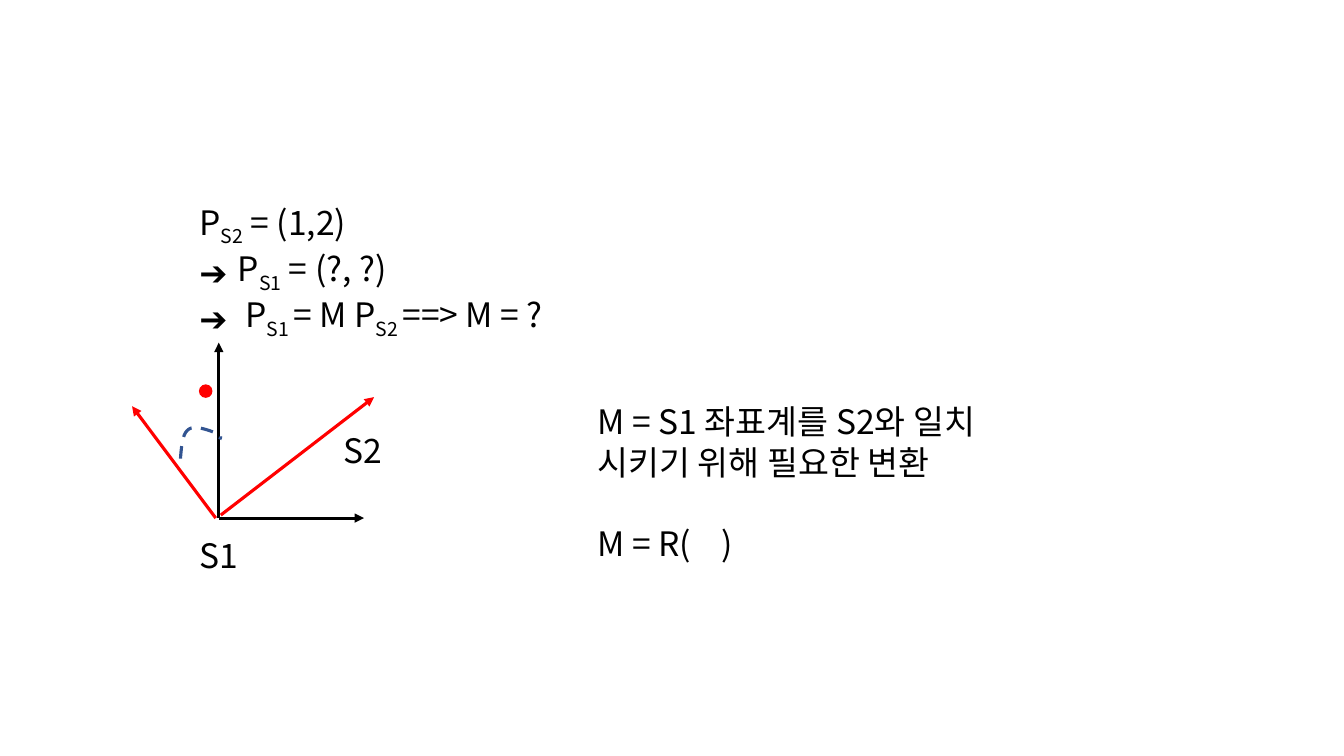
from lxml import etree
from pptx import Presentation
from pptx import util as u
from pptx.dml import color
from pptx.enum import dml, shapes, text
from pptx.oxml import ns

PX = 9144  # 100 px to the inch
FONT = "Noto Sans CJK KR"
BLACK, RED, BLUE = "000000", "FF0000", "325491"


def px(length):
    return u.Emu(length * PX)


def rgb(value):
    return color.RGBColor.from_string(value)


def add_child(parent, tag, **attributes):
    return etree.SubElement(parent, ns.qn(tag), attributes)


def style_line(line, hex_color, width):
    line.color.rgb = rgb(hex_color)
    line.width = u.Pt(width)


def add_span(para, words, subscript=False, size=24):
    span = para.add_run()
    span.text = words
    span.font.size = u.Pt(size)
    span.font.name = FONT
    span.font.color.rgb = rgb(BLACK)
    properties = span.font._element
    add_child(properties, "a:ea", typeface=FONT)
    if subscript:
        properties.set("baseline", "-25000")


def add_bullet(para, mark, indent):
    properties = para._p.get_or_add_pPr()
    properties.set("marL", str(px(indent)))
    properties.set("indent", str(-px(indent)))
    add_child(properties, "a:buFont", typeface=FONT)
    add_child(properties, "a:buChar", char=mark)


def add_text(slide, left, top, width, height, paragraphs,
             bullet_from=None, pitch=29, gap=0):
    """Each paragraph is a list of pieces, alternately normal and subscript."""
    box = slide.shapes.add_textbox(px(left), px(top), px(width), px(height))
    frame = box.text_frame
    frame.word_wrap = True
    frame.auto_size = text.MSO_AUTO_SIZE.SHAPE_TO_FIT_TEXT
    for index, pieces in enumerate(paragraphs):
        para = frame.add_paragraph() if index else frame.paragraphs[0]
        if bullet_from is not None and index >= bullet_from:
            add_bullet(para, "➔", 38)
        para.line_spacing = u.Pt(pitch)
        if index and gap:
            para.space_before = u.Pt(gap)
        for place, words in enumerate(pieces):
            add_span(para, words, subscript=place % 2 == 1)


def add_arrow(slide, start, end, hex_color):
    arrow = slide.shapes.add_connector(
        shapes.MSO_CONNECTOR.STRAIGHT, *map(px, start + end))
    style_line(arrow.line, hex_color, 2.25)
    add_child(arrow.line._get_or_add_ln(), "a:tailEnd", type="triangle")
    add_child(arrow._element.spPr, "a:effectLst")


def add_dot(slide, left, top, size, hex_color):
    dot = slide.shapes.add_shape(
        shapes.MSO_SHAPE.OVAL, px(left), px(top), px(size), px(size))
    dot.shadow.inherit = False
    dot.fill.solid()
    dot.fill.fore_color.rgb = rgb(hex_color)
    style_line(dot.line, hex_color, 1)


def bezier_points(start, first, second, end, steps=10):
    for step in range(1, steps + 1):
        t = step / steps
        weights = ((1 - t) ** 3, 3 * t * (1 - t) ** 2, 3 * t * t * (1 - t), t ** 3)
        yield tuple(round(sum(w * p for w, p in zip(weights, axis)) * PX)
                    for axis in zip(start, first, second, end))


def add_dashed_curve(slide, start, curves, hex_color):
    builder = slide.shapes.build_freeform(*map(px, start))
    for first, second, end in curves:
        builder.add_line_segments(bezier_points(start, first, second, end), close=False)
        start = end
    curve = builder.convert_to_shape()
    curve.shadow.inherit = False
    curve.fill.background()
    style_line(curve.line, hex_color, 2.25)
    curve.line.dash_style = dml.MSO_LINE.DASH


def main():
    deck = Presentation()
    deck.slide_width, deck.slide_height = px(1333), px(750)
    slide = deck.slides.add_slide(deck.slide_layouts[6])

    origin = (217, 514)
    add_arrow(slide, origin, (217, 340), BLACK)
    add_arrow(slide, origin, (361, 514), BLACK)
    add_arrow(slide, (214, 514), (131, 403), RED)
    add_arrow(slide, (219, 511), (371, 394), RED)
    add_text(slide, 188, 525, 187, 50, [["S1"]])
    add_text(slide, 331, 421, 187, 50, [["S2"]])
    add_dot(slide, 198, 382, 12, RED)

    add_text(slide, 188, 195, 523, 131, [
        ["P", "S2", " = (1,2)"],
        ["P", "S1", " = (?, ?)"],
        [" P", "S1 ", "= M P", "S2 ", "==> M = ?"],
    ], bullet_from=1, pitch=33)
    add_text(slide, 583, 393, 483, 172, [
        ["M = S1 좌표계를 S2와 일치 시키기 위해 필요한 변환"],
        ["M = R(    )"],
    ], gap=29)

    add_dashed_curve(slide, (179, 455), [
        ((180, 442), (181, 430), (187, 426)),
        ((193, 421), (210, 428), (215, 430)),
        ((220, 431), (219, 434), (218, 436)),
    ], BLUE)
    deck.save("out.pptx")


if __name__ == "__main__":
    main()
